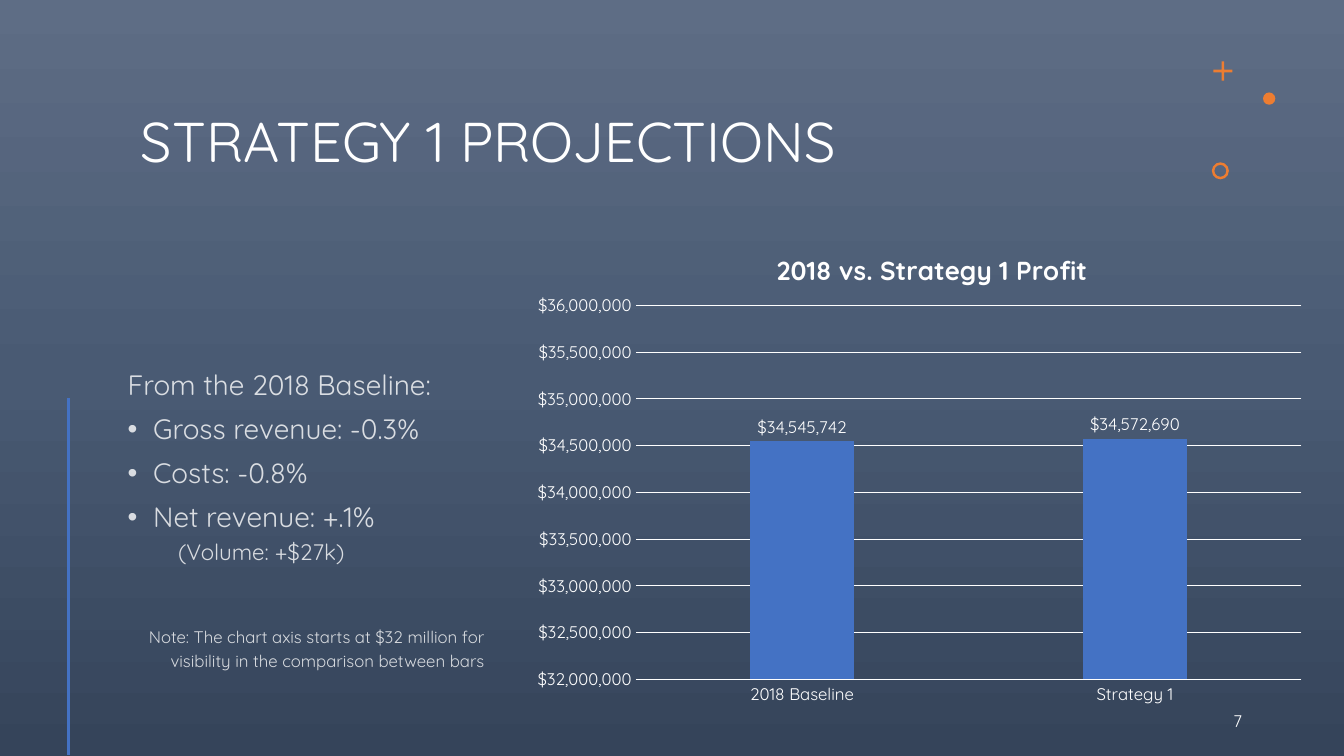
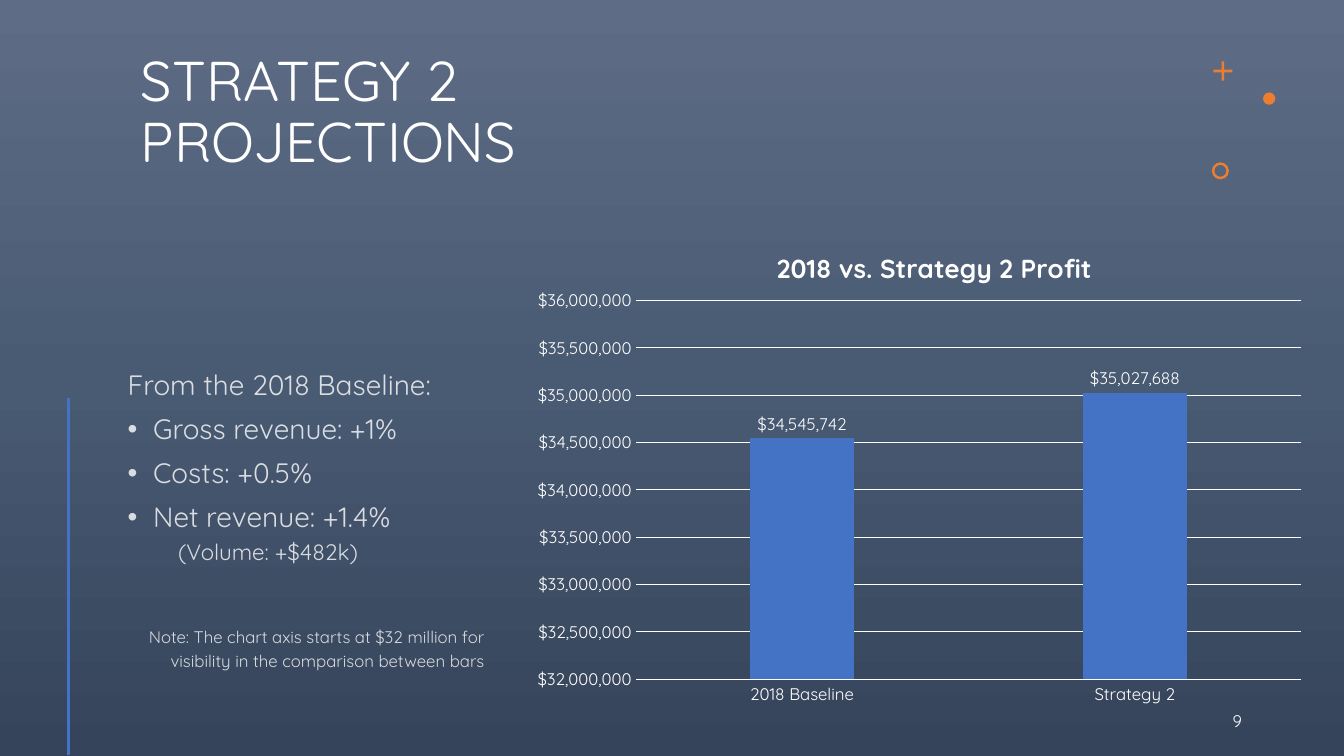
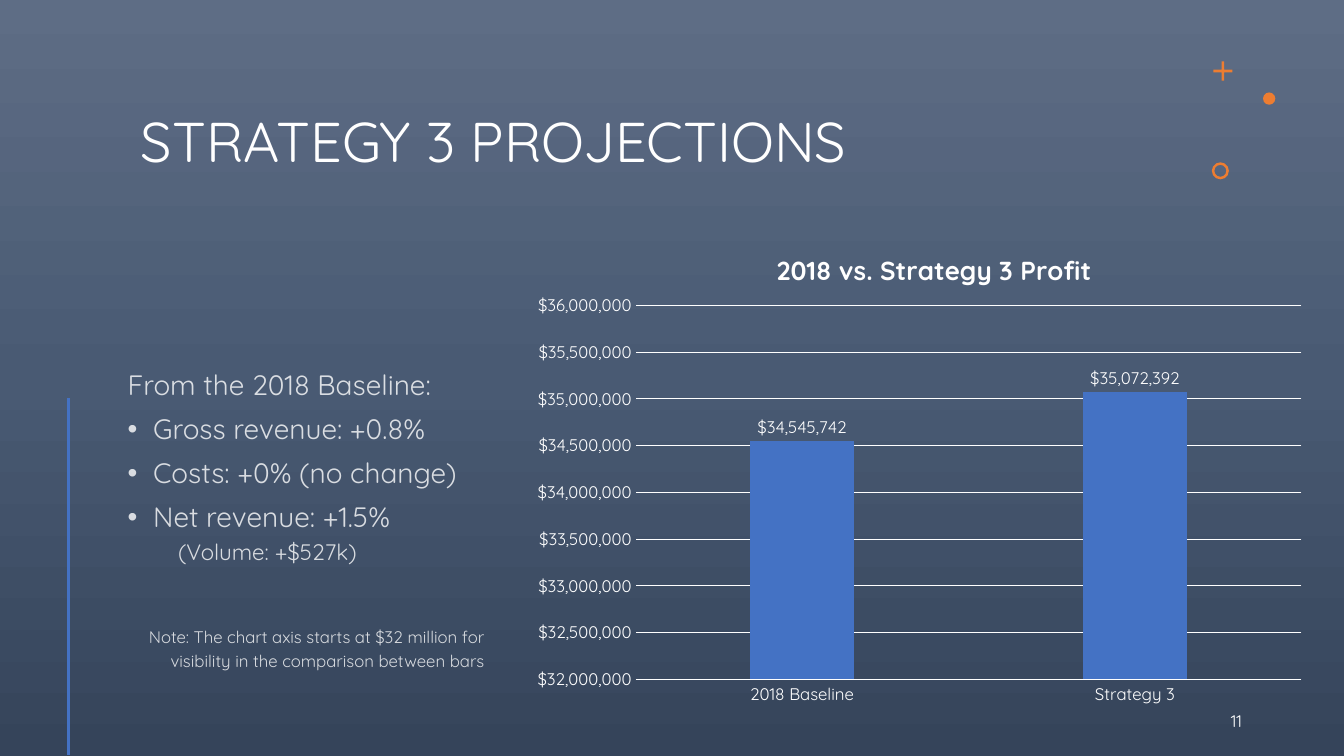
from copy import deepcopy

from lxml.etree import SubElement as Sub
from pptx import Presentation
from pptx.chart.data import CategoryChartData as Data
from pptx.dml.color import RGBColor
from pptx.enum.chart import XL_CHART_TYPE as Kind, XL_LABEL_POSITION as Spot, XL_TICK_MARK as Tick
from pptx.enum.shapes import MSO_CONNECTOR as Link, MSO_SHAPE as Form
from pptx.enum.text import MSO_ANCHOR as Anchor, PP_ALIGN as Align
from pptx.oxml.ns import qn
from pptx.util import Cm, Pt

FACE, WHITE, BLUE, ORANGE = "Quicksand", "FFFFFF", "4472C4", "ED7D31"
SHADES = [(0, "5E6D85"), (0.5, "495A73"), (1, "35445A")]
MONEY = '"$"#,##0'
BASE = 34545742
NOTE = "Note: The chart axis starts at $32 million for visibility in the comparison between bars"
MARKS = [
    (Form.CROSS, 30.58, 1.55, 0.48, 0.43),
    (Form.OVAL, 31.83, 2.33, 0.31, None),
    (Form.DONUT, 30.54, 4.09, 0.43, 0.15),
]
PLANS = [
    dict(no=1, page=7, gross="-0.3%", costs="-0.8%", net="+.1%", gain="+$27k",
         profit=34572690, head=0.05, top=0.17),
    dict(no=2, page=9, gross="+1%", costs="+0.5%", net="+1.4%", gain="+$482k",
         profit=35027688, head=0.045, top=0.16),
    dict(no=3, page=11, gross="+0.8%", costs="+0% (no change)", net="+1.5%", gain="+$527k",
         profit=35072392, head=0.05, top=0.17),
]


def tint(code):
    return RGBColor.from_string(code)


def style(font, size):
    font.name, font.size = FACE, Pt(size)
    font.color.rgb = tint(WHITE)


def write(para, text, size, space=None, gap=0, align=None):
    para.text = text
    para.alignment = align
    para.line_spacing = space
    para.space_before = Pt(gap)
    style(para.font, size)


def frame(slide, x, y, wide, high, anchor):
    text = slide.shapes.add_textbox(Cm(x), Cm(y), Cm(wide), Cm(high)).text_frame
    text.word_wrap = True
    text.vertical_anchor = anchor
    return text


def indent(para, left, hang, bullet):
    prop = para._p.get_or_add_pPr()
    prop.set("marL", str(Cm(left)))
    prop.set("indent", str(Cm(hang)))
    if bullet:
        Sub(prop, qn("a:buFont")).set("typeface", "Arial")
        Sub(prop, qn("a:buChar")).set("char", "•")


def paint(master):
    fill = master.background.fill
    fill.gradient()
    fill.gradient_angle = 270
    stops = next(master._element.iter(qn("a:gsLst")))
    stops.append(deepcopy(stops[-1]))
    for stop, (place, code) in zip(fill.gradient_stops, SHADES):
        stop.position = place
        stop.color.rgb = tint(code)


def adorn(slide):
    group = slide.shapes.add_group_shape()
    for form, x, y, size, bend in MARKS:
        mark = group.shapes.add_shape(form, Cm(x), Cm(y), Cm(size), Cm(size))
        mark.shadow.inherit = False
        mark.fill.solid()
        mark.fill.fore_color.rgb = tint(ORANGE)
        mark.line.fill.background()
        if bend:
            mark.adjustments[0] = bend
    rule = slide.shapes.add_connector(Link.STRAIGHT, Cm(1.73), Cm(10.03), Cm(1.73), Cm(19.03))
    rule.line.color.rgb = tint(BLUE)
    rule.line.width = Pt(2)
    Sub(rule._element.spPr, qn("a:effectLst"))


def body(slide, plan):
    rows = [
        ("From the 2018 Baseline:", 20, 0.9, 0, None, 0, 0, False),
        *((f"{name}: {plan[key]}", 20, 0.9, 10, None, 0.64, -0.64, True)
          for name, key in (("Gross revenue", "gross"), ("Costs", "costs"), ("Net revenue", "net"))),
        (f"(Volume: {plan['gain']})", 16, 0.9, 5, None, 1.27, 0, False),
        (NOTE, 12, 1.2, 41, Align.RIGHT, 0, 0, False),
    ]
    text = frame(slide, 2.97, 9.22, 9.5, 8.53, Anchor.TOP)
    for i, (words, size, space, gap, align, left, hang, bullet) in enumerate(rows):
        para = text.add_paragraph() if i else text.paragraphs[0]
        indent(para, left, hang, bullet)
        write(para, words, size, space, gap, align)
        for code in para._p.iter(qn("a:srgbClr")):
            Sub(code, qn("a:alpha")).set("val", "80000")


def layout(part, **sizes):
    old = part.find(qn("c:layout"))
    if old is not None:
        part.remove(old)
    box = part.makeelement(qn("c:layout"), {})
    part.insert(len(part.findall(qn("c:tx"))), box)
    hand = Sub(box, qn("c:manualLayout"))
    if "w" in sizes:
        Sub(hand, qn("c:layoutTarget")).set("val", "inner")
    for side in "xy":
        Sub(hand, qn(f"c:{side}Mode")).set("val", "edge")
    for key, size in sizes.items():
        Sub(hand, qn(f"c:{key}")).set("val", f"{size:.3f}")


def graph(slide, plan):
    name = f"Strategy {plan['no']}"
    data = Data(number_format=MONEY)
    data.categories = ["2018 Baseline", name]
    data.add_series("Series 1", [BASE, plan["profit"]])
    chart = slide.shapes.add_chart(
        Kind.COLUMN_CLUSTERED, Cm(13.13), Cm(5.59), Cm(20.07), Cm(12.4), data).chart
    style(chart.font, 10)
    chart.has_legend = False
    title = chart.chart_title
    write(title.text_frame.paragraphs[0], f"2018 vs. {name} Profit", 18.6)
    layout(title._element, x=0.315, y=plan["head"])
    layout(chart._chartSpace.chart.plotArea, x=0.144, y=plan["top"], w=0.836, h=0.93 - plan["top"])

    cats, vals = chart.category_axis, chart.value_axis
    for axis in (cats, vals):
        axis.major_tick_mark = axis.minor_tick_mark = Tick.NONE
        style(axis.tick_labels.font, 12)
    vals.minimum_scale, vals.maximum_scale, vals.major_unit = 32000000, 36000000, 500000
    vals.tick_labels.number_format = MONEY
    vals.tick_labels.number_format_is_linked = False
    vals.format.line.fill.background()
    for line in (cats.format.line, vals.major_gridlines.format.line):
        line.color.rgb = tint(WHITE)
        line.width = Pt(0.75)

    plot = chart.plots[0]
    plot.gap_width, plot.overlap, plot.vary_by_categories = 219, -27, False
    fill = plot.series[0].format.fill
    fill.solid()
    fill.fore_color.rgb = tint(BLUE)
    plot.has_data_labels = True
    tags = plot.data_labels
    tags.show_value = True
    tags.position = Spot.OUTSIDE_END
    tags.number_format, tags.number_format_is_linked = MONEY, False
    style(tags.font, 12)


def main():
    """Build the strategy projection slides."""
    prs = Presentation()
    prs.slide_width, prs.slide_height = Cm(33.87), Cm(19.05)
    paint(prs.slide_master)
    for plan in PLANS:
        slide = prs.slides.add_slide(prs.slide_layouts[6])
        head = frame(slide, 3.3, 1.07, 18.34, 3.45, Anchor.BOTTOM)
        write(head.paragraphs[0], f"STRATEGY {plan['no']} PROJECTIONS", 40, 0.9)
        adorn(slide)
        body(slide, plan)
        graph(slide, plan)
        foot = frame(slide, 23.93, 17.65, 7.62, 1.02, Anchor.MIDDLE)
        write(foot.paragraphs[0], str(plan["page"]), 12, align=Align.RIGHT)
    prs.save("out.pptx")


if __name__ == "__main__":
    main()
